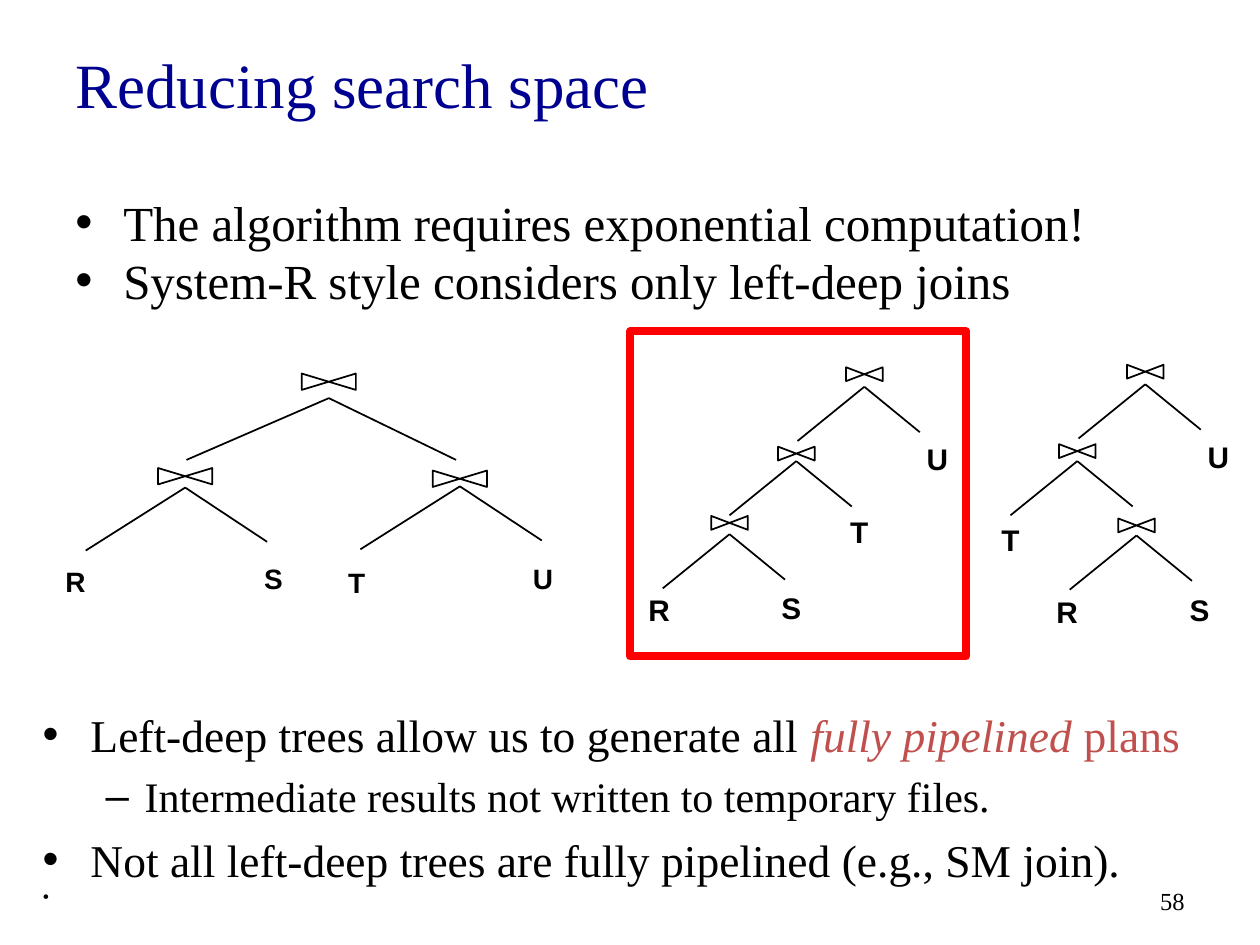
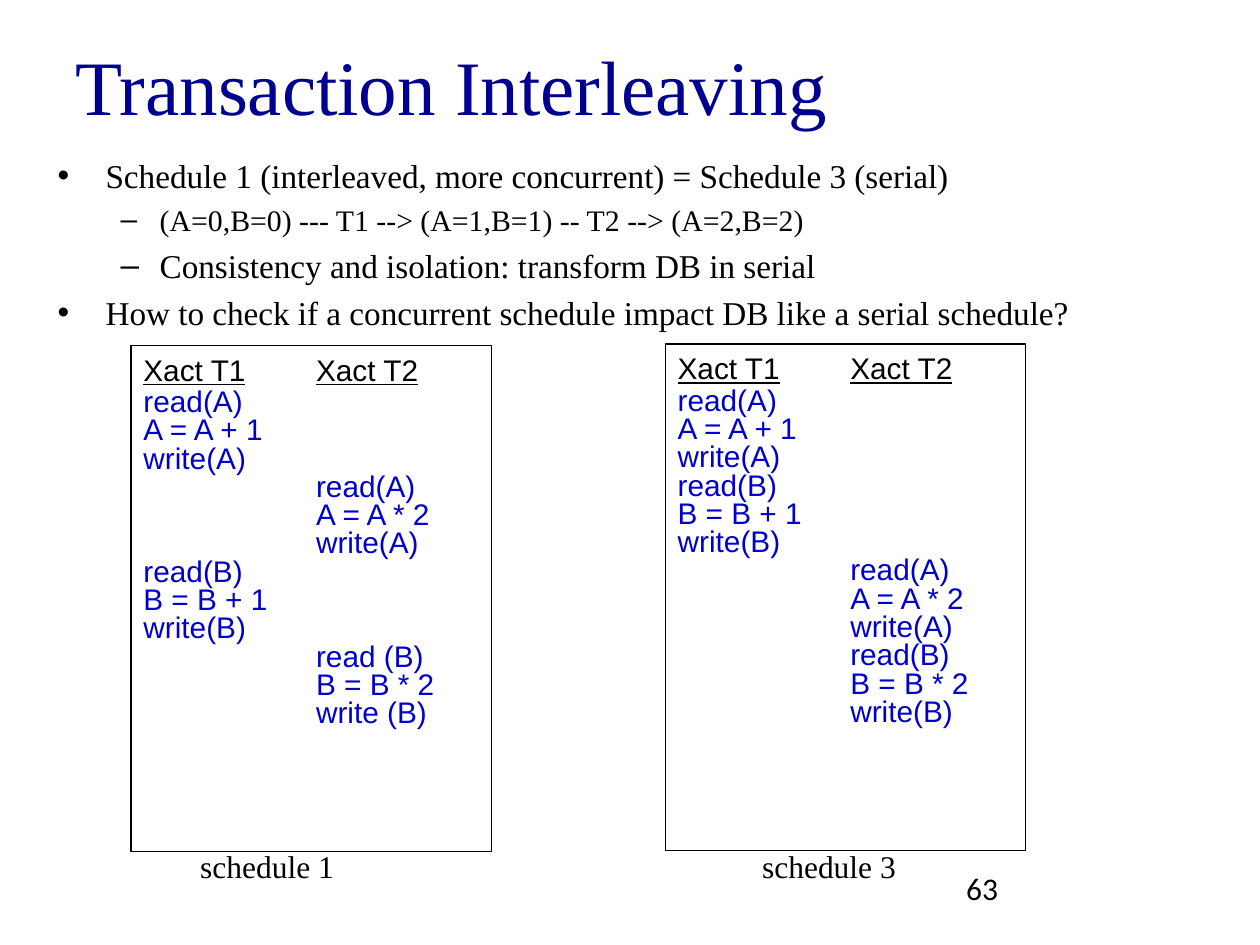
from pptx import Presentation
from pptx.dml.color import RGBColor
from pptx.enum.shapes import MSO_CONNECTOR as CONNECTOR, MSO_SHAPE as SHAPE
from pptx.enum.text import MSO_ANCHOR as ANCHOR, PP_ALIGN as ALIGN
from pptx.oxml.ns import qn
from pptx.util import Inches, Pt
from lxml.etree import SubElement

# Shared look
SERIF, SANS = "Times New Roman", "Arial"
BLACK, NAVY, BLUE, RED, BRICK = "000000", "000090", "0000CC", "FF0000", "C0504D"
BULLETS = [("•", 0.38, 0.38), ("–", 0.81, 0.31)]  # sign, indent, hanging part
SPACE_BEFORE = 0.23  # share of the text size

# Slide 1: (level, size, text)
SEARCH_POINTS = [
    (0, 28, "The algorithm requires exponential computation!"),
    (0, 28, "System-R style considers only left-deep joins"),
]
PIPELINE_POINTS = [
    (0, 26, [("Left-deep trees allow us to generate all ", {}),
             ("fully pipelined ", {"color": BRICK, "italic": True}),
             ("plans", {"color": BRICK})]),
    (1, 24, "Intermediate results not written to temporary files."),
    (0, 26, "Not all left-deep trees are fully pipelined (e.g., SM join)."),
]

# Branches: left and right reach of the two lines below a join
WIDE = [(-1.13, 0.49), (1.01, 0.49)]
MEDIUM = [(-0.79, 0.5), (0.65, 0.43)]
NARROW = [(-0.53, 0.43), (0.44, 0.36)]

# Trees: joins are (centre x, centre y, branch top y, branches),
# relations are (name, centre x, top y)
JOIN_TREES = [
    {"join_size": (0.43, 0.13), "label_size": 16,
     "joins": [(2.61, 3.03, 3.16, WIDE), (1.47, 3.78, 3.87, MEDIUM),
               (3.65, 3.8, 3.86, MEDIUM)],
     "relations": [("R", 0.6, 4.43), ("S", 2.17, 4.41),
                   ("T", 2.83, 4.44), ("U", 4.31, 4.41)]},
    {"join_size": (0.29, 0.11), "label_size": 17,
     "joins": [(6.86, 2.97, 3.07, NARROW), (6.32, 3.6, 3.66, NARROW),
               (5.79, 4.15, 4.24, NARROW)],
     "relations": [("R", 5.23, 4.65), ("S", 6.28, 4.63),
                   ("T", 6.82, 4.03), ("U", 7.44, 3.45)]},
    {"join_size": (0.29, 0.11), "label_size": 17,
     "joins": [(9.09, 2.95, 3.05, NARROW), (8.55, 3.58, 3.66, NARROW),
               (9.02, 4.17, 4.25, NARROW)],
     "relations": [("R", 8.47, 4.66), ("S", 9.52, 4.65),
                   ("T", 8.02, 4.09), ("U", 9.67, 3.43)]},
]

# Slide 2
SCHEDULE_POINTS = [
    (0, 19, "Schedule 1 (interleaved, more concurrent) = Schedule 3 (serial)"),
    (1, 17, "(A=0,B=0) --- T1 --> (A=1,B=1) -- T2 --> (A=2,B=2)"),
    (1, 19, "Consistency and isolation: transform DB in serial"),
    (0, 19, "How to check if a concurrent schedule impact DB like a serial schedule?"),
]
T1, T2 = 0, 1  # column of each transaction
# Schedules: (caption, caption left, box left, box top, steps by transaction)
SCHEDULES = [
    ("schedule 1", 1.49, 1.04, 2.74, [
        (T1, ["read(A)", "A = A + 1", "write(A)"]),
        (T2, ["read(A)", "A = A * 2", "write(A)"]),
        (T1, ["read(B)", "B = B + 1", "write(B)"]),
        (T2, ["read (B)", "B = B * 2", "write (B)"])]),
    ("schedule 3", 5.95, 5.28, 2.73, [
        (T1, ["read(A)", "A = A + 1", "write(A)", "read(B)", "B = B + 1", "write(B)"]),
        (T2, ["read(A)", "A = A * 2", "write(A)", "read(B)", "B = B * 2", "write(B)"])]),
]


def rgb(color):
    return RGBColor.from_string(color)


def write(frame, text, size=18, font=SERIF, color=BLACK, bold=False, italic=False,
          underline=False, align=ALIGN.LEFT, indent=None, bullet=None,
          spacing=None, before=0):
    """Add one paragraph; text is a string or a list of (string, format)."""
    first = not frame.paragraphs[0].runs
    paragraph = frame.paragraphs[0] if first else frame.add_paragraph()
    paragraph.alignment = align
    if indent:
        margin, hanging = indent
        properties = paragraph._p.get_or_add_pPr()
        properties.set("marL", str(Inches(margin)))
        properties.set("indent", str(-Inches(hanging)))
        if bullet:
            SubElement(properties, qn("a:buFont"), typeface=SANS)
            SubElement(properties, qn("a:buChar"), char=bullet)
    if spacing:
        paragraph.line_spacing = spacing
    if before and not first:
        paragraph.space_before = Pt(round(before * size, 1))
    for words, changes in [(text, {})] if isinstance(text, str) else text:
        look = {"color": color, "bold": bold, "italic": italic,
                "underline": underline, **changes}
        run = paragraph.add_run()
        run.text = words
        run.font.name, run.font.size = font, Pt(size)
        run.font.color.rgb = rgb(look["color"])
        run.font.bold, run.font.italic = look["bold"], look["italic"]
        run.font.underline = look["underline"]


def add_frame(slide, box, anchor=ANCHOR.TOP, wrap=True):
    frame = slide.shapes.add_textbox(*map(Inches, box)).text_frame
    frame.word_wrap, frame.vertical_anchor = wrap, anchor
    return frame


def add_title(slide, text, size, box):
    write(add_frame(slide, box, ANCHOR.MIDDLE), text, size=size, color=NAVY)


def add_points(slide, points, box, spacing=None):
    frame = add_frame(slide, box)
    for level, size, text in points:
        sign, *indent = BULLETS[level]
        write(frame, text, size=size, indent=indent, bullet=sign,
              spacing=spacing, before=SPACE_BEFORE)
    return frame


def outline(shape, color, width):
    shape.shadow.inherit = False
    shape.fill.background()
    shape.line.color.rgb = rgb(color)
    shape.line.width = Pt(width)


def add_box(slide, box, color, width):
    shape = slide.shapes.add_shape(SHAPE.RECTANGLE, *map(Inches, box))
    outline(shape, color, width)
    return shape


def add_join(slide, x, y, size):
    half_w, half_h = size[0] / 2, size[1] / 2
    corners = [(Inches(x + i * half_w), Inches(y + j * half_h))
               for i, j in [(-1, -1), (1, 1), (1, -1), (-1, 1)]]
    builder = slide.shapes.build_freeform(*corners[0])
    builder.add_line_segments(corners[1:], close=True)
    outline(builder.convert_to_shape(), BLACK, 1)


def add_branch(slide, x, y, reach):
    ends = x, y, x + reach[0], y + reach[1]
    line = slide.shapes.add_connector(CONNECTOR.STRAIGHT, *map(Inches, ends))
    line.line.color.rgb = rgb(BLACK)
    line.line.width = Pt(1)
    SubElement(line._element.spPr, qn("a:effectLst"))


def add_tree(slide, tree):
    for x, y, branch_top, branches in tree["joins"]:
        add_join(slide, x, y, tree["join_size"])
        for reach in branches:
            add_branch(slide, x, branch_top, reach)
    for name, x, top in tree["relations"]:
        frame = add_frame(slide, (x - 0.19, top, 0.38, 0.39), wrap=False)
        write(frame, name, size=tree["label_size"], font=SANS, bold=True,
              align=ALIGN.CENTER)


def add_schedule(slide, caption, caption_left, left, top, steps):
    frame = add_box(slide, (left, top, 2.86, 4.02), BLACK, 0.75).text_frame
    frame.word_wrap, frame.vertical_anchor = True, ANCHOR.TOP
    frame.margin_bottom = Inches(0.35)
    columns = {"size": 17, "font": SANS, "indent": (1.37, 1.37)}
    underlined = {"underline": True}
    write(frame, [("Xact T1", underlined), ("\t", {}), ("Xact T2", underlined)],
          **columns)
    for column, operations in steps:
        for operation in operations:
            write(frame, "\t" * column + operation, color=BLUE, spacing=0.4,
                  before=0.47, **columns)
    write(add_frame(slide, (caption_left, 6.62, 1.62, 0.5), ANCHOR.MIDDLE), caption)


def build_search_space(slide):
    write(add_frame(slide, (7.17, 6.95, 2.33, 0.4), ANCHOR.MIDDLE), "58",
          size=14, align=ALIGN.RIGHT)
    add_points(slide, SEARCH_POINTS, (0.5, 1.57, 8.92, 1.01), spacing=0.8)
    add_title(slide, "Reducing search space", 36, (0.5, 0.06, 9, 1.2))
    for tree in JOIN_TREES:
        add_tree(slide, tree)
    add_box(slide, (5, 2.63, 2.67, 2.58), RED, 4.5)  # marks the left-deep tree
    frame = add_points(slide, PIPELINE_POINTS, (0.24, 5.56, 9.44, 1.83))
    write(frame, "•", size=11, spacing=0.7, before=SPACE_BEFORE)


def build_interleaving(slide):
    write(add_frame(slide, (7.57, 6.85, 0.58, 0.4)), "63", font="Calibri")
    add_title(slide, "Transaction Interleaving", 44, (0.5, 0.23, 9, 0.88))
    add_points(slide, SCHEDULE_POINTS, (0.36, 1.18, 9.64, 5.42))
    for schedule in SCHEDULES:
        add_schedule(slide, *schedule)


def main():
    deck = Presentation()
    deck.slide_width, deck.slide_height = Inches(10), Inches(7.5)
    for build in (build_search_space, build_interleaving):
        build(deck.slides.add_slide(deck.slide_layouts[6]))
    deck.save("out.pptx")


if __name__ == "__main__":
    main()
